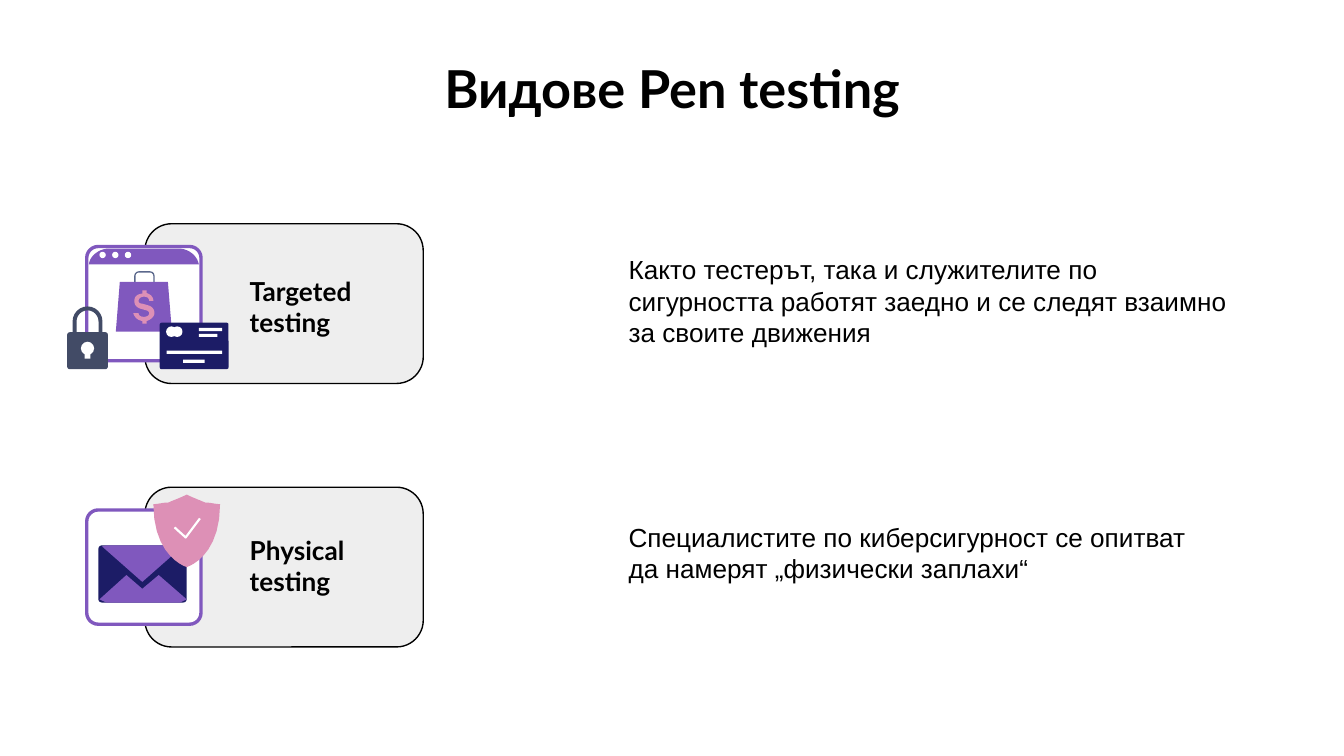
from pptx import Presentation
from pptx.dml.color import RGBColor
from pptx.enum.shapes import MSO_SHAPE as Preset
from pptx.enum.text import MSO_ANCHOR as Anchor, MSO_AUTO_SIZE as AutoSize, PP_ALIGN as Align
from pptx.util import Cm, Pt

BLACK = RGBColor(0x00, 0x00, 0x00)
WHITE = RGBColor(0xFF, 0xFF, 0xFF)
GREY = RGBColor(0xEE, 0xEE, 0xEE)
PURPLE = RGBColor(0x80, 0x58, 0xBE)
NAVY = RGBColor(0x1C, 0x1C, 0x66)
PINK = RGBColor(0xDD, 0x90, 0xB6)
SLATE = RGBColor(0x42, 0x4B, 0x66)
STEEL = RGBColor(0x5B, 0x68, 0x8C)

# Outlines in cm: a pair is a corner, six numbers are a Bézier curve
WINDOW_BAR = [(1.68, 5), (1.7, 4.83, 1.88, 4.7, 2.06, 4.7), (3.38, 4.7),
              (3.56, 4.7, 3.73, 4.83, 3.76, 5)]
DOLLAR = [
    (2.69, 5.49), (2.69, 5.55), (2.59, 5.56, 2.54, 5.61, 2.54, 5.69),
    (2.54, 5.77, 2.59, 5.82, 2.67, 5.84), (2.74, 5.86),
    (2.79, 5.87, 2.82, 5.89, 2.82, 5.92), (2.82, 5.97, 2.77, 5.99, 2.72, 5.99),
    (2.67, 5.99, 2.62, 5.97, 2.62, 5.92), (2.52, 5.92),
    (2.54, 5.99, 2.59, 6.05, 2.69, 6.07), (2.69, 6.12), (2.77, 6.12), (2.77, 6.07),
    (2.84, 6.05, 2.92, 5.99, 2.92, 5.92), (2.92, 5.84, 2.87, 5.79, 2.79, 5.77),
    (2.69, 5.74), (2.64, 5.74, 2.62, 5.72, 2.62, 5.69),
    (2.62, 5.64, 2.67, 5.61, 2.72, 5.61), (2.79, 5.61, 2.82, 5.64, 2.82, 5.69),
    (2.9, 5.69), (2.9, 5.61, 2.84, 5.56, 2.77, 5.54), (2.77, 5.49)]
FLAP = [(1.93, 10.33), (2.01, 10.31), (3.38, 10.31), (3.45, 10.33), (2.69, 11)]
POCKET = [(3, 10.87), (2.69, 11.13), (2.39, 10.87), (1.88, 11.33), (2.01, 11.39),
          (3.4, 11.39), (3.53, 11.33)]
SHIELD = [
    (3.53, 9.35), (3.43, 9.4, 3.3, 9.45, 3.18, 9.5), (3.07, 9.5, 3, 9.53, 2.9, 9.53),
    (2.9, 10.54, 3.53, 10.72, 3.53, 10.72), (3.53, 10.72, 4.16, 10.54, 4.16, 9.53),
    (4.06, 9.53, 3.99, 9.5, 3.88, 9.5), (3.76, 9.45, 3.63, 9.4, 3.53, 9.35)]
CHECK = [(3.3, 9.97), (3.51, 10.16), (3.78, 9.8)]


def flatten(outline, steps=10):
    """Turn corners and curves into a list of points."""
    points = [outline[0]]
    for part in outline[1:]:
        if len(part) == 2:
            points.append(part)
            continue
        x0, y0 = points[-1]
        x1, y1, x2, y2, x3, y3 = part
        for step in range(1, steps + 1):
            t = step / steps
            a, b, c, d = (1 - t) ** 3, 3 * t * (1 - t) ** 2, 3 * t * t * (1 - t), t ** 3
            points.append((a * x0 + b * x1 + c * x2 + d * x3,
                           a * y0 + b * y1 + c * y2 + d * y3))
    return points


class SlideBuilder:
    heading_font = "Lato"
    body_font = "Arial"
    text_size = 14

    def __init__(self, slide):
        self.slide = slide
        self.shapes = slide.shapes

    def start_group(self):
        self.shapes = self.slide.shapes.add_group_shape().shapes

    def paint(self, shape, fill, line, width):
        shape.shadow.inherit = False
        if fill is None:
            shape.fill.background()
        else:
            shape.fill.solid()
            shape.fill.fore_color.rgb = fill
        if line is None:
            shape.line.fill.background()
        else:
            shape.line.color.rgb = line
            shape.line.width = Pt(width)

    def preset(self, kind, box, fill=None, line=None, width=0.75, adjust=None):
        shape = self.shapes.add_shape(kind, *map(Cm, box))
        if adjust is not None:
            shape.adjustments[0] = adjust
        self.paint(shape, fill, line, width)

    def outline(self, parts, fill=None, line=None, width=0.75):
        points = [(Cm(x), Cm(y)) for x, y in flatten(parts)]
        builder = self.shapes.build_freeform(*points[0])
        builder.add_line_segments(points[1:], close=fill is not None)
        self.paint(builder.convert_to_shape(), fill, line, width)

    def format_text(self, frame, text, font, size, bold):
        frame.text = text
        frame.word_wrap = True
        for run in frame.paragraphs[0].runs:
            run.font.name = font
            run.font.size = Pt(size)
            run.font.bold = bold
            run.font.color.rgb = BLACK

    def title(self, text, box):
        title = self.slide.shapes.title
        title.left, title.top, title.width, title.height = map(Cm, box)
        frame = title.text_frame
        self.format_text(frame, text, self.heading_font, 28, True)
        frame.auto_size = AutoSize.NONE
        frame.vertical_anchor = Anchor.TOP
        frame.margin_top = frame.margin_bottom = Cm(0.25)
        frame.paragraphs[0].alignment = Align.CENTER

    def label(self, text, box):
        frame = self.slide.shapes.add_textbox(*map(Cm, box)).text_frame
        self.format_text(frame, text, self.heading_font, self.text_size, True)
        frame.vertical_anchor = Anchor.MIDDLE
        frame.margin_left = frame.margin_right = 0
        frame.margin_top = frame.margin_bottom = Cm(0.25)

    def body(self, text, box):
        frame = self.slide.shapes.add_textbox(*map(Cm, box)).text_frame
        self.format_text(frame, text, self.body_font, self.text_size, False)
        frame.auto_size = AutoSize.SHAPE_TO_FIT_TEXT

    def card(self, top):
        """Grey card with the empty window of its icon."""
        self.preset(Preset.ROUNDED_RECTANGLE, (2.74, top, 5.26, 3.02), GREY, BLACK,
                    adjust=0.167)
        self.preset(Preset.ROUNDED_RECTANGLE, (1.64, top + 0.43, 2.16, 2.16), WHITE,
                    PURPLE, 1.8, adjust=0.1)


def draw_mail_icon(builder):
    builder.preset(Preset.ROUNDED_RECTANGLE, (1.86, 10.31, 1.67, 1.08), NAVY, adjust=0.06)
    builder.outline(FLAP, PURPLE)
    builder.outline(POCKET, PURPLE)
    builder.outline(SHIELD, PINK)
    builder.outline(CHECK, line=WHITE, width=1.17)


def draw_shop_icon(builder):
    # Window bar and shopping bag
    builder.outline(WINDOW_BAR, PURPLE)
    for column in range(3):
        builder.preset(Preset.OVAL, (1.88 + 0.24 * column, 4.76, 0.12, 0.12), WHITE)
    builder.preset(Preset.ROUNDED_RECTANGLE, (2.55, 5.14, 0.36, 0.37), line=STEEL,
                   width=0.68, adjust=0.2)
    builder.preset(Preset.TRAPEZOID, (2.19, 5.33, 1.06, 0.94), PURPLE, adjust=0.08)
    builder.outline(DOLLAR, PINK)
    # Padlock
    builder.preset(Preset.ROUNDED_RECTANGLE, (1.27, 6.28, 0.77, 0.7), SLATE, adjust=0.07)
    builder.preset(Preset.ROUND_2_SAME_RECTANGLE, (1.41, 5.83, 0.49, 0.66), line=SLATE,
                   width=2.1, adjust=0.5)
    builder.preset(Preset.OVAL, (1.53, 6.46, 0.25, 0.25), WHITE)
    builder.preset(Preset.RECTANGLE, (1.6, 6.65, 0.11, 0.13), WHITE)
    # Payment card
    builder.preset(Preset.ROUNDED_RECTANGLE, (3.02, 6.1, 1.3, 0.88), NAVY, adjust=0.04)
    for left in (3.25, 3.14):
        builder.preset(Preset.OVAL, (left, 6.17, 0.2, 0.2), WHITE)
    for left, top, width in ((3.15, 6.63, 1.05), (3.76, 6.2, 0.44),
                             (3.76, 6.31, 0.35), (3.46, 6.8, 0.41)):
        builder.preset(Preset.RECTANGLE, (left, top, width, 0.06), WHITE)


def main():
    presentation = Presentation()
    presentation.slide_width, presentation.slide_height = Cm(25.4), Cm(14.29)
    builder = SlideBuilder(presentation.slides.add_slide(presentation.slide_layouts[5]))
    builder.title("Видове Pen testing", (1.27, 0.81, 22.86, 1.6))

    # Cards with icons
    for top, draw_icon in ((9.21, draw_mail_icon), (4.23, draw_shop_icon)):
        builder.start_group()
        builder.card(top)
        draw_icon(builder)

    # Labels and descriptions
    builder.label("Targeted testing", (4.72, 5.54, 2.92, 0.51))
    builder.label("Physical testing", (4.72, 10.44, 2.92, 0.51))
    builder.body("Както тестерът, така и служителите по сигурността работят заедно "
                 "и се следят взаимно за своите движения", (11.63, 4.67, 12.17, 2.06))
    builder.body("Специалистите по киберсигурност се опитват да намерят "
                 "„физически заплахи“", (11.63, 9.73, 11.25, 1.45))
    presentation.save("out.pptx")


if __name__ == "__main__":
    main()
